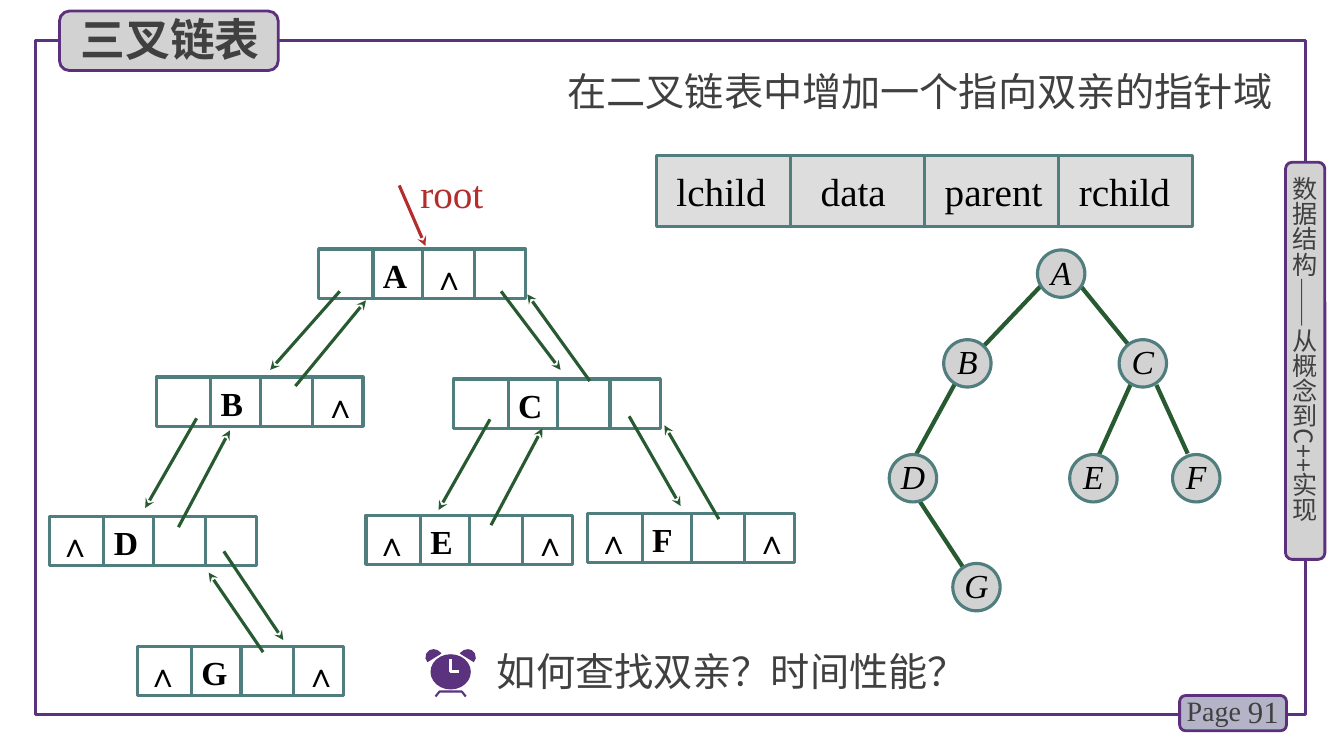
from lxml.etree import SubElement
from pptx import Presentation
from pptx.dml.color import RGBColor
from pptx.enum.shapes import MSO_CONNECTOR, MSO_SHAPE as Preset
from pptx.enum.text import MSO_ANCHOR as Anchor, PP_ALIGN as Align
from pptx.oxml.ns import qn
from pptx.util import Inches, Pt

PURPLE, EDGE, GREEN, TEAL, RED = "5A327D", "5C307D", "285A32", "507D7D", "B42D2D"
GREY, PALE, LILAC, INK, BLACK, WHITE = "D2D2D2", "DDDDDD", "B4B4C8", "404040", "000000", "FFFFFF"
SERIF, SANS = "Times New Roman", "Noto Sans CJK SC"
BOX_INSETS = (0.1, 0.05, 0.1, 0.05)


def color(value):
    return RGBColor.from_string(value)


class SlideBuilder:
    def __init__(self, slide):
        self.slide = slide
        self.shapes = slide.shapes

    def paint(self, shape, fill, line, width):
        shape.shadow.inherit = False
        if fill:
            shape.fill.solid()
            shape.fill.fore_color.rgb = color(fill)
        else:
            shape.fill.background()
        if line:
            shape.line.color.rgb = color(line)
            shape.line.width = Pt(width)
        else:
            shape.line.fill.background()
        return shape

    def shape(self, preset, left, top, width, height, fill=None, line=TEAL, weight=2.25):
        shape = self.shapes.add_shape(preset, Inches(left), Inches(top), Inches(width), Inches(height))
        return self.paint(shape, fill, line, weight)

    def outline(self, points, fill=None, line=None, weight=1.5):
        start, *rest = [(Inches(x), Inches(y)) for x, y in points]
        builder = self.shapes.build_freeform(*start)
        builder.add_line_segments(rest, close=bool(fill))
        return self.paint(builder.convert_to_shape(), fill, line, weight)

    def line(self, x1, y1, x2, y2, stroke=GREEN, weight=2.25, arrow=False):
        connector = self.shapes.add_connector(
            MSO_CONNECTOR.STRAIGHT, Inches(x1), Inches(y1), Inches(x2), Inches(y2))
        connector.line.color.rgb = color(stroke)
        connector.line.width = Pt(weight)
        properties = connector._element.spPr
        if arrow:
            SubElement(properties.find(qn("a:ln")), qn("a:tailEnd"), type="stealth")
        SubElement(properties, qn("a:effectLst"))

    def set_text(self, shape, text, size, font=SERIF, ink=BLACK, bold=False, italic=False,
                 align=Align.LEFT, anchor=Anchor.TOP, insets=BOX_INSETS, spacing=None, vertical=False):
        frame = shape.text_frame
        frame.word_wrap = True
        frame.vertical_anchor = anchor
        frame.margin_left, frame.margin_top, frame.margin_right, frame.margin_bottom = map(Inches, insets)
        if vertical:
            shape._element.txBody.bodyPr.set("vert", "eaVert")
        paragraph = frame.paragraphs[0]
        paragraph.text = text
        paragraph.alignment = align
        if spacing:
            paragraph.line_spacing = Pt(spacing)
        paragraph.font.size = Pt(size)
        paragraph.font.bold = bold
        paragraph.font.italic = italic
        paragraph.font.color.rgb = color(ink)
        paragraph.font.name = font
        SubElement(paragraph.font._element, qn("a:ea"), typeface=SANS)

    def text(self, left, top, width, height, text, size, **style):
        box = self.shapes.add_textbox(Inches(left), Inches(top), Inches(width), Inches(height))
        self.set_text(box, text, size, **style)

    def record(self, name, left, top, nulls):
        self.shape(Preset.RECTANGLE, left, top, 2.05, 0.49)
        cell = self.shape(Preset.RECTANGLE, left + 0.54, top, 0.49, 0.49)
        self.set_text(cell, name, 24, bold=True, insets=(0.1, 0, 0.02, 0.01), spacing=33)
        self.line(left + 1.55, top, left + 1.55, top + 0.49, TEAL)
        for offset in nulls:
            self.text(left + offset, top + 0.01, 0.46, 0.45, "∧", 24, bold=True,
                      insets=(0.06, 0.01, 0.02, 0.01), spacing=33)

    def tree_node(self, name, left, top):
        circle = self.shape(Preset.OVAL, left, top, 0.47, 0.47, GREY)
        self.set_text(circle, name, 24, italic=True, align=Align.CENTER, insets=(0, 0, 0, 0), spacing=25)

    def alarm_clock(self, center):
        bell = [(0.23, 6.57), (0.25, 6.53), (0.24, 6.48), (0.21, 6.45), (0.17, 6.44),
                (0.13, 6.45), (0.09, 6.48), (0.1, 6.49)]
        for side in (-1, 1):
            self.outline([(center + side * x, y) for x, y in bell], PURPLE)
        self.outline([(center + x, y) for x, y in
                      [(-0.15, 6.91), (-0.11, 6.86), (0.11, 6.86), (0.15, 6.91)]], line=PURPLE)
        self.shape(Preset.OVAL, center - 0.2, 6.49, 0.4, 0.35, PURPLE, None)
        self.outline([(center, 6.54), (center, 6.66), (center + 0.08, 6.66)], line=WHITE, weight=2)


NULL_LEFT, NULL_PARENT, NULL_RIGHT = 0.03, 1.07, 1.6
RECORDS = [
    ("A", 3.16, 2.47, [NULL_PARENT]),
    ("B", 1.55, 3.74, [NULL_RIGHT]),
    ("C", 4.5, 3.76, []),
    ("D", 0.49, 5.12, [NULL_LEFT]),
    ("E", 3.63, 5.11, [NULL_LEFT, NULL_RIGHT]),
    ("F", 5.83, 5.09, [NULL_LEFT, NULL_RIGHT]),
    ("G", 1.36, 6.41, [NULL_LEFT, NULL_RIGHT]),
]
CHILD_POINTERS = [
    (3.37, 2.89, 2.68, 3.67), (4.97, 2.89, 5.56, 3.67), (1.95, 4.15, 1.44, 5.04),
    (4.86, 4.16, 4.35, 5.06), (6.24, 4.13, 6.75, 5.02), (2.22, 5.47, 2.81, 6.35),
]
PARENT_POINTERS = [
    (2.93, 3.83, 3.63, 2.98), (5.85, 3.78, 5.23, 2.92), (1.77, 5.23, 2.28, 4.27),
    (4.87, 5.21, 5.38, 4.25), (7.13, 5.15, 6.59, 4.22), (2.61, 6.47, 2.07, 5.68),
]
TREE_EDGES = [
    (10.32, 2.84, 9.76, 3.43), (10.72, 2.84, 11.2, 3.43), (9.47, 3.81, 9.08, 4.52),
    (9.12, 4.97, 9.56, 5.64), (11.22, 3.8, 10.9, 4.51), (11.47, 3.82, 11.78, 4.5),
]
TREE_NODES = [
    ("A", 10.29, 2.48), ("B", 9.36, 3.37), ("C", 11.1, 3.37), ("D", 8.82, 4.51),
    ("E", 10.61, 4.51), ("F", 11.63, 4.51), ("G", 9.45, 5.59),
]
FIELDS = [("lchild", 0.2), ("data", 0.3), ("parent", 0.2), ("rchild", 0.2)]


def main():
    presentation = Presentation()
    presentation.slide_width, presentation.slide_height = Inches(13.33), Inches(7.5)
    builder = SlideBuilder(presentation.slides.add_slide(presentation.slide_layouts[6]))

    builder.shape(Preset.RECTANGLE, 0.35, 0.4, 12.6, 6.69, line=PURPLE)
    builder.shape(Preset.ROUNDED_RECTANGLE, 11.7, 6.9, 1.06, 0.35, LILAC, EDGE, 2)
    builder.text(12.07, 6.86, 0.71, 0.4, "91", 22, ink=INK, align=Align.RIGHT, anchor=Anchor.MIDDLE)
    builder.text(11.67, 6.83, 0.78, 0.44, "Page", 20, ink=INK)
    builder.shape(Preset.ROUNDED_RECTANGLE, 12.75, 1.61, 0.39, 3.94, GREY, EDGE, 2)
    builder.text(12.79, 1.75, 0.3, 3.78, "数据结构——从概念到C++实现", 18, font=SANS, ink=INK,
                 insets=(0, 0, 0, 0), vertical=True)

    for record in RECORDS:
        builder.record(*record)
    for pointer in CHILD_POINTERS + PARENT_POINTERS:
        builder.line(*pointer, arrow=True)
    builder.line(3.96, 1.84, 4.22, 2.44, RED, arrow=True)
    builder.text(4.07, 1.63, 1.41, 0.57, "root", 28, ink=RED)

    for edge in TREE_EDGES:
        builder.line(*edge, weight=3)
    for node in TREE_NODES:
        builder.tree_node(*node)

    builder.shape(Preset.ROUNDED_RECTANGLE, 0.59, 0.11, 2.17, 0.59, GREY, EDGE, 2)
    builder.text(0.7, 0.07, 2.15, 0.64, "三叉链表", 32, font=SANS, ink=INK, bold=True)
    builder.text(5.53, 0.62, 7.23, 0.57, "在二叉链表中增加一个指向双亲的指针域", 28, font=SANS, ink=INK)
    for index, (field, indent) in enumerate(FIELDS):
        cell = builder.shape(Preset.RECTANGLE, 6.51 + 1.33 * index, 1.54, 1.33, 0.71, PALE)
        builder.set_text(cell, field, 28, anchor=Anchor.MIDDLE, insets=(indent, 0, 0.1, 0))

    builder.text(4.83, 6.37, 4.89, 0.57, "如何查找双亲？时间性能？", 28, ink=INK)
    builder.alarm_clock(4.47)
    presentation.save("out.pptx")


if __name__ == "__main__":
    main()
